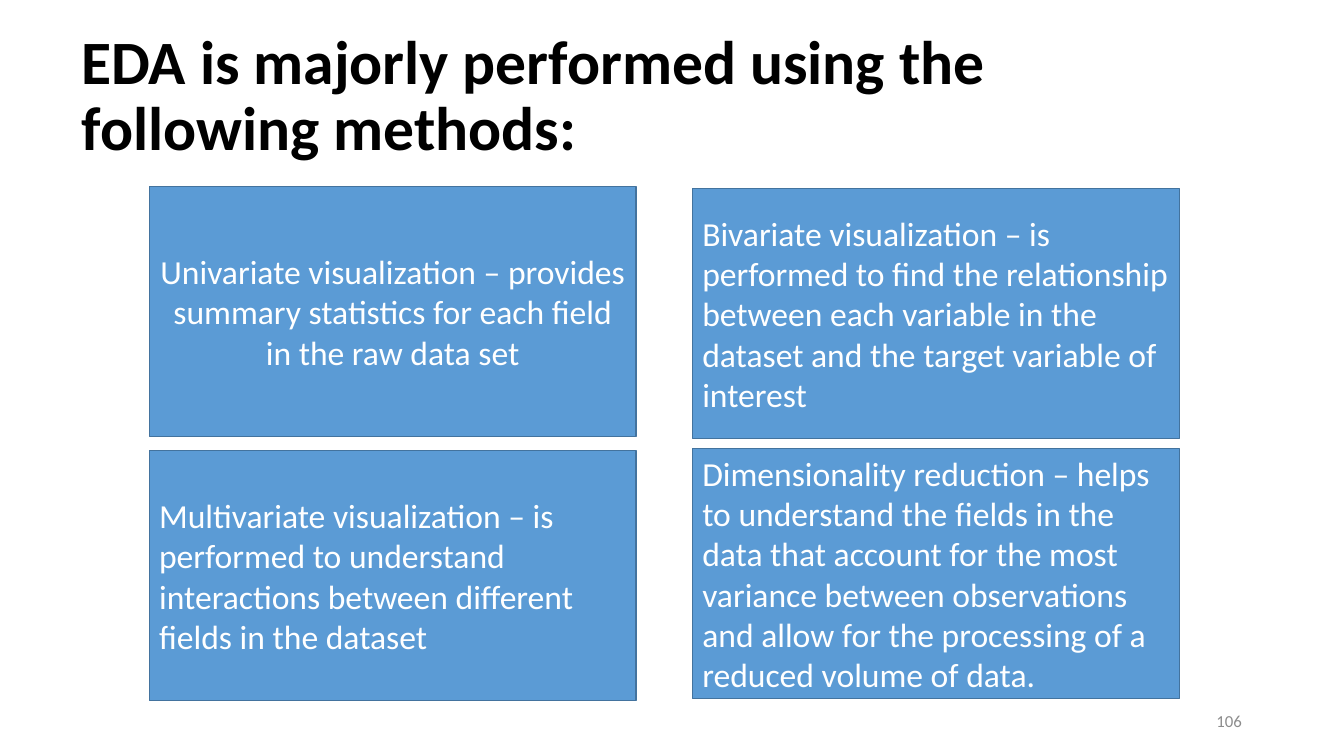
from dataclasses import dataclass

import pptx
import pptx.dml.color
import pptx.enum.shapes
import pptx.enum.text
import pptx.shapes.base
import pptx.slide
import pptx.util

Pt = pptx.util.Pt
RGBColor = pptx.dml.color.RGBColor
Align = pptx.enum.text.PP_ALIGN

BLACK = RGBColor(0x00, 0x00, 0x00)
WHITE = RGBColor(0xFF, 0xFF, 0xFF)
GREY = RGBColor(0x8C, 0x8C, 0x8C)
BLUE = RGBColor(0x5B, 0x9B, 0xD5)
DARK_BLUE = RGBColor(0x43, 0x73, 0x9E)

FONT = "Calibri"
CARD_WIDTH, CARD_HEIGHT = 347.8, 178.6
LEFT_COLUMN, RIGHT_COLUMN = 106.6, 494.6


@dataclass(frozen=True)
class Card:
    left: float
    top: float
    text: str
    align: Align = Align.LEFT


CARDS = [
    Card(LEFT_COLUMN, 133.2, "Univariate visualization – provides summary statistics "
         "for each field in the raw data set", Align.CENTER),
    Card(RIGHT_COLUMN, 134.6, "Bivariate visualization – is performed to find the relationship "
         "between each variable in the dataset and the target variable of interest"),
    Card(LEFT_COLUMN, 321.8, "Multivariate visualization – is performed to understand "
         "interactions between different fields in the dataset"),
    Card(RIGHT_COLUMN, 320.4, "Dimensionality reduction – helps to understand the fields in the "
         "data that account for the most variance between observations and allow for the "
         "processing of a reduced volume of data."),
]


def write_text(box: pptx.shapes.base.BaseShape, text: str, *, size: float, color: RGBColor,
               align: Align = Align.LEFT, bold: bool = False, spacing: float = 1.0) -> None:
    frame = box.text_frame
    frame.word_wrap = True
    frame.vertical_anchor = pptx.enum.text.MSO_ANCHOR.MIDDLE
    para = frame.paragraphs[0]
    para.alignment = align
    para.line_spacing = spacing
    span = para.add_run()
    span.text = text
    span.font.name = FONT
    span.font.size = Pt(size)
    span.font.bold = bold
    span.font.color.rgb = color


def draw_card(page: pptx.slide.Slide, card: Card) -> None:
    box = page.shapes.add_shape(pptx.enum.shapes.MSO_SHAPE.RECTANGLE, Pt(card.left),
                                Pt(card.top), Pt(CARD_WIDTH), Pt(CARD_HEIGHT))
    box.shadow.inherit = False
    box.fill.solid()
    box.fill.fore_color.rgb = BLUE
    box.line.color.rgb = DARK_BLUE
    box.line.width = Pt(1)
    write_text(box, card.text, size=24, color=WHITE, align=card.align)


def main() -> None:
    deck = pptx.Presentation()
    deck.slide_width, deck.slide_height = Pt(960), Pt(540)
    page = deck.slides.add_slide(deck.slide_layouts[6])

    title = page.shapes.add_textbox(Pt(51.1), Pt(17.3), Pt(828), Pt(104.4))
    write_text(title, "EDA is majorly performed using the following methods:",
               size=44, color=BLACK, bold=True, spacing=0.9)
    number = page.shapes.add_textbox(Pt(678.2), Pt(500.4), Pt(216), Pt(28.8))
    write_text(number, "106", size=12, color=GREY, align=Align.RIGHT)

    for card in CARDS:
        draw_card(page, card)
    deck.save("out.pptx")


if __name__ == "__main__":
    main()
